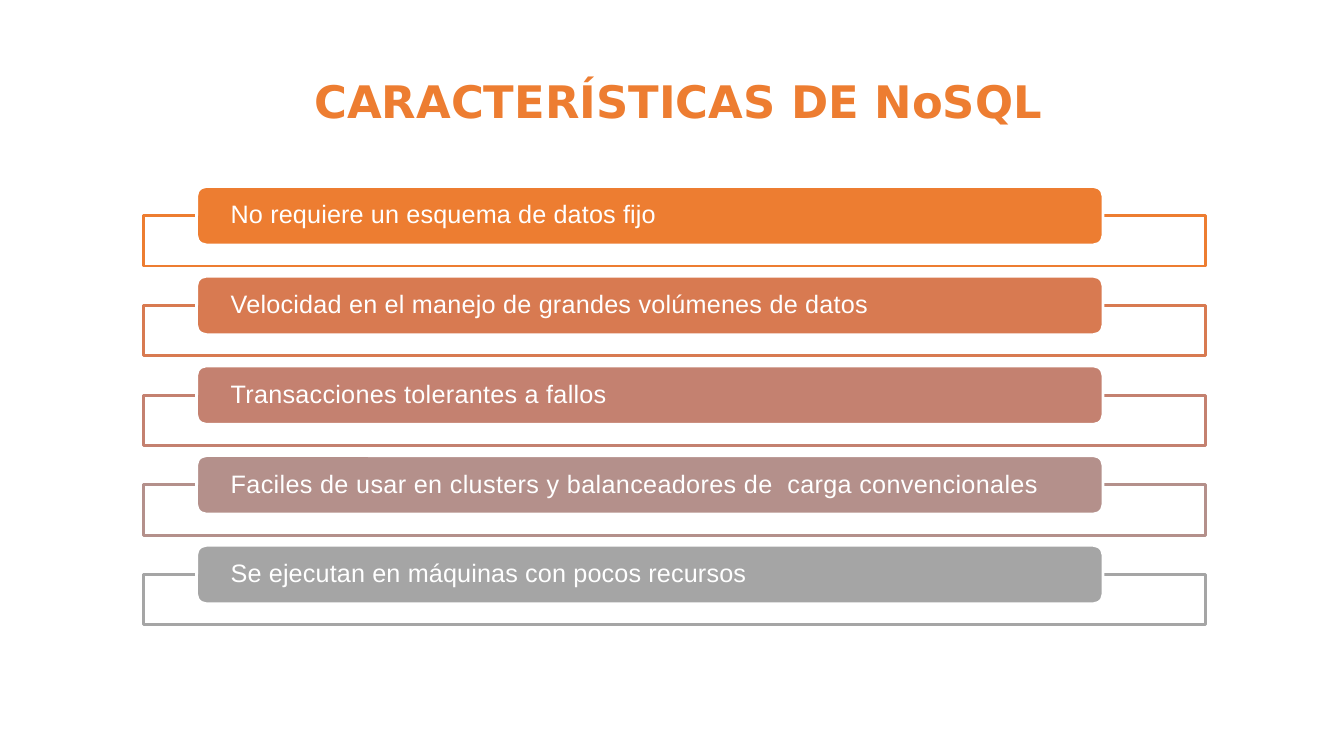
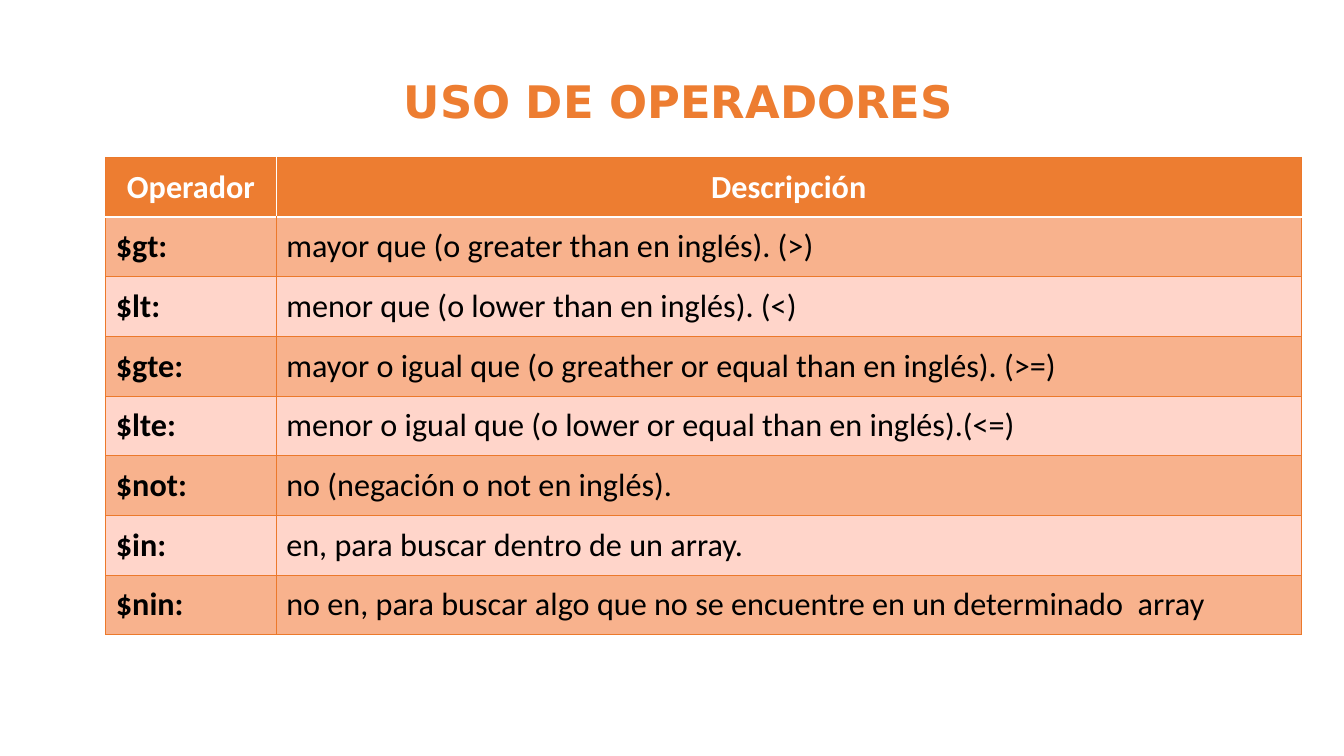
from lxml.etree import SubElement
from pptx import Presentation
from pptx.dml.color import RGBColor
from pptx.enum.shapes import MSO_SHAPE
from pptx.enum.text import MSO_ANCHOR, PP_ALIGN
from pptx.oxml.ns import qn
from pptx.util import Inches, Pt

ORANGE = RGBColor(0xED, 0x7D, 0x31)
GRID = RGBColor(0xEC, 0x79, 0x2B)
DARK_ROW = RGBColor(0xF8, 0xB2, 0x8D)
LIGHT_ROW = RGBColor(0xFF, 0xD5, 0xCA)
WHITE = RGBColor(0xFF, 0xFF, 0xFF)
BLACK = RGBColor(0x00, 0x00, 0x00)

TITLE_FONT = {"name": "DejaVu Sans", "size": Pt(32), "bold": True}
BAR_FONT = {"name": "Arial", "size": Pt(18), "bold": False}
TABLE_FONT = {"name": "Calibri", "size": Pt(23)}
TITLE_MARGINS = (0.1, 0.05)
BAR_MARGINS = (0.31, 0)
CELL_MARGINS = (0.1, 0.1)

FEATURES = [
    ("No requiere un esquema de datos fijo", ORANGE, 10),
    ("Velocidad en el manejo de grandes volúmenes de datos",
     RGBColor(0xD8, 0x7A, 0x51), 17),
    ("Transacciones tolerantes a fallos", RGBColor(0xC4, 0x81, 0x70), 20),
    ("Faciles de usar en clusters y balanceadores de  carga convencionales",
     RGBColor(0xB4, 0x90, 0x8B), 26),
    ("Se ejecutan en máquinas con pocos recursos",
     RGBColor(0xA5, 0xA5, 0xA5), 10),
]
FEATURE_STEP = 0.89

OPERATORS = [
    ("Operador", "Descripción"),
    ("$gt:", "mayor que (o greater than en inglés). (>)"),
    ("$lt:", "menor que (o lower than en inglés). (<)"),
    ("$gte:", "mayor o igual que (o greather or equal than en inglés). (>=)"),
    ("$lte:", "menor o igual que (o lower or equal than en inglés).(<=)"),
    ("$not:", "no (negación o not en inglés)."),
    ("$in:", "en, para buscar dentro de un array."),
    ("$nin:", "no en, para buscar algo que no se encuentre en un determinado  array"),
]
COLUMN_WIDTHS = (1.69, 10.17)
ROW_HEIGHT = 0.59


def apply_format(target, values):
    for name, value in values.items():
        setattr(target, name, value)


def set_margins(target, margins):
    across, down = (Inches(margin) for margin in margins)
    apply_format(target, {"margin_left": across, "margin_right": across,
                          "margin_top": down, "margin_bottom": down})


def write_text(frame, text, font, color, alignment=PP_ALIGN.LEFT, line_spacing=1.0):
    paragraph = frame.paragraphs[0]
    apply_format(paragraph, {"alignment": alignment, "line_spacing": line_spacing})
    run = paragraph.add_run()
    run.text = text
    apply_format(run.font, font)
    run.font.color.rgb = color
    return run


def add_titled_slide(deck, heading):
    slide = deck.slides.add_slide(deck.slide_layouts[5])
    title = slide.shapes.title
    apply_format(title, {"left": Inches(0.56), "top": Inches(0.64),
                         "width": Inches(12.34), "height": Inches(0.79)})
    frame = title.text_frame
    frame.vertical_anchor = MSO_ANCHOR.MIDDLE
    set_margins(frame, TITLE_MARGINS)
    write_text(frame, heading, TITLE_FONT, ORANGE, PP_ALIGN.CENTER, 0.9)
    return slide


def add_panel(slide, preset, box, fill, outline):
    panel = slide.shapes.add_shape(preset, *(Inches(length) for length in box))
    panel.shadow.inherit = False
    panel.fill.solid()
    panel.fill.fore_color.rgb = fill
    panel.line.color.rgb = outline
    panel.line.width = Pt(2)
    return panel


def add_feature(slide, index, text, color, tracking):
    offset = index * FEATURE_STEP
    add_panel(slide, MSO_SHAPE.RECTANGLE, (1.42, 2.14 + offset, 10.54, 0.5), WHITE, color)
    bar = add_panel(slide, MSO_SHAPE.ROUNDED_RECTANGLE,
                    (1.95, 1.85 + offset, 8.99, 0.58), color, WHITE)
    frame = bar.text_frame
    apply_format(frame, {"word_wrap": True, "vertical_anchor": MSO_ANCHOR.MIDDLE})
    set_margins(frame, BAR_MARGINS)
    run = write_text(frame, text, BAR_FONT, WHITE, line_spacing=0.9)
    run.font._element.set("spc", str(tracking))


def set_border(cell, side, color, width):
    properties = cell._tc.get_or_add_tcPr()
    border = SubElement(properties, qn(f"a:ln{side}"), w=str(Pt(width)))
    fill = SubElement(border, qn("a:solidFill"))
    SubElement(fill, qn("a:srgbClr"), val=str(color))


def format_cell(cell, row, column, text):
    header = row == 0
    borders = {side: (GRID, 0.75) for side in "LRTB"}
    if header:
        borders["B"] = (WHITE, 2)
        del borders["R" if column == 0 else "L"]
    elif row == 1:
        borders["T"] = (WHITE, 2)
    for side, (color, width) in borders.items():
        set_border(cell, side, color, width)
    cell.fill.solid()
    cell.fill.fore_color.rgb = ORANGE if header else DARK_ROW if row % 2 else LIGHT_ROW
    cell.vertical_anchor = MSO_ANCHOR.BOTTOM
    set_margins(cell, CELL_MARGINS)
    font = {**TABLE_FONT, "bold": header or column == 0}
    write_text(cell.text_frame, text, font, WHITE if header else BLACK,
               PP_ALIGN.CENTER if header else PP_ALIGN.LEFT)


def add_operator_table(slide):
    table = slide.shapes.add_table(
        len(OPERATORS), len(COLUMN_WIDTHS), Inches(1.05), Inches(1.56),
        Inches(sum(COLUMN_WIDTHS)), Inches(ROW_HEIGHT * len(OPERATORS))).table
    apply_format(table, {"first_row": False, "horz_banding": False})
    for column, width in zip(table.columns, COLUMN_WIDTHS):
        column.width = Inches(width)
    for row, texts in enumerate(OPERATORS):
        for column, text in enumerate(texts):
            format_cell(table.cell(row, column), row, column, text)


def main():
    deck = Presentation()
    apply_format(deck, {"slide_width": Inches(13.33), "slide_height": Inches(7.5)})
    features_slide = add_titled_slide(deck, "CARACTERÍSTICAS DE NoSQL")
    for index, feature in enumerate(FEATURES):
        add_feature(features_slide, index, *feature)
    add_operator_table(add_titled_slide(deck, "USO DE OPERADORES"))
    deck.save("out.pptx")


if __name__ == "__main__":
    main()
